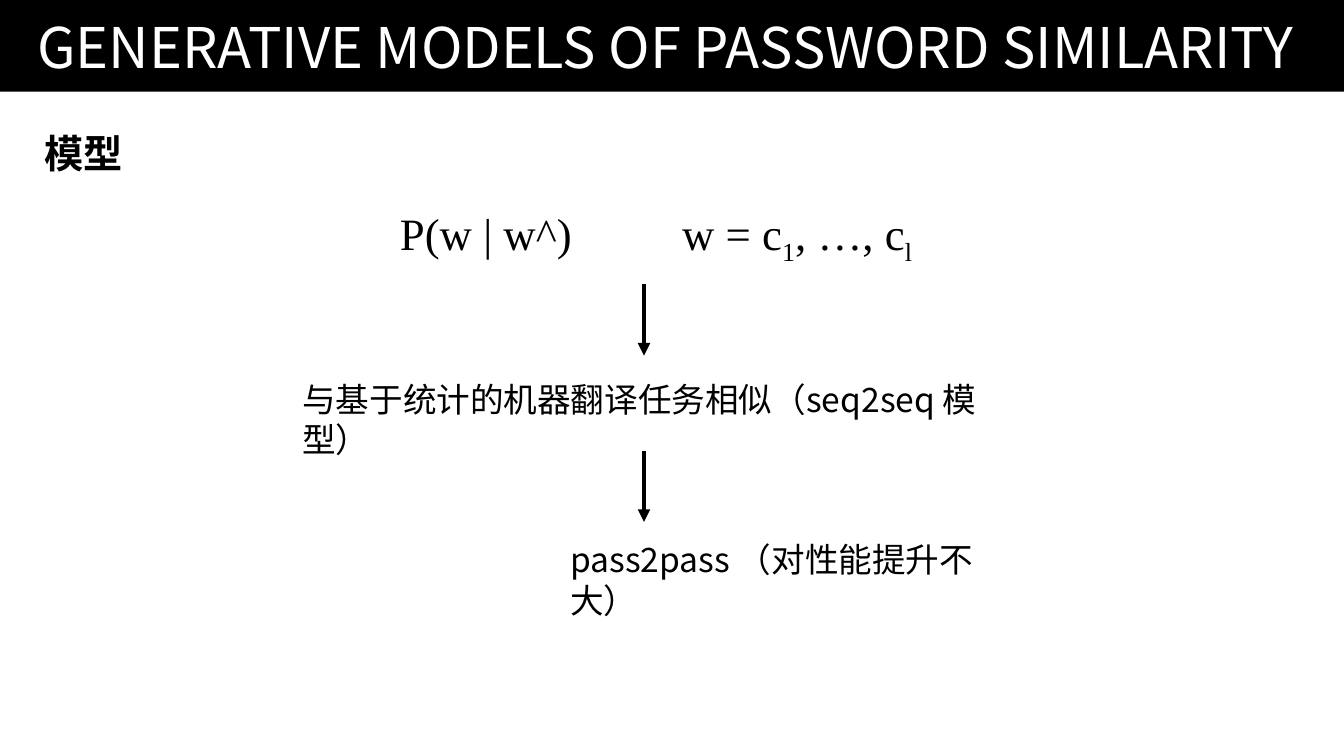
from lxml import etree
from pptx import Presentation
from pptx.dml.color import RGBColor
from pptx.enum import shapes, text
from pptx.oxml.ns import qn
from pptx.util import Pt

BLACK = RGBColor(0x00, 0x00, 0x00)
WHITE = RGBColor(0xFF, 0xFF, 0xFF)
SANS = "Noto Sans CJK SC"
SERIF = "Times New Roman"

HEADING = {"name": SANS, "size": Pt(28), "bold": True}
FORMULA = {"name": SERIF, "size": Pt(32)}
BODY = {"name": SANS, "size": Pt(24)}
BANNER = {"name": SANS, "size": Pt(40)}


def add_run(p, content, fmt, color=BLACK, subscript=False):
    r = p.add_run()
    r.text = content
    for key, value in fmt.items():
        setattr(r.font, key, value)
    r.font.color.rgb = color
    rPr = r.font._element
    etree.SubElement(rPr, qn("a:ea"), typeface=fmt["name"])
    if subscript:
        rPr.set("baseline", "-25000")


def add_banner(s, width, title):
    sp = s.shapes.add_shape(shapes.MSO_SHAPE.RECTANGLE, 0, 0, width, Pt(65.5))
    sp.shadow.inherit = False
    sp.fill.solid()
    sp.fill.fore_color.rgb = BLACK
    sp.line.fill.background()
    tf = sp.text_frame
    tf.vertical_anchor = text.MSO_ANCHOR.MIDDLE
    tf.margin_right = Pt(16.6)
    p = tf.paragraphs[0]
    p.alignment = text.PP_ALIGN.CENTER
    add_run(p, title, BANNER, WHITE)


def add_text(s, box, parts, fmt, wrap=False):
    """Write the parts in one paragraph; every second part is a subscript."""
    tf = s.shapes.add_textbox(*map(Pt, box)).text_frame
    tf.word_wrap = wrap
    tf.auto_size = text.MSO_AUTO_SIZE.SHAPE_TO_FIT_TEXT
    for i, part in enumerate(parts):
        add_run(tf.paragraphs[0], part, fmt, subscript=i % 2 == 1)


def add_down_arrow(s, x, top, length):
    cn = s.shapes.add_connector(
        shapes.MSO_CONNECTOR.STRAIGHT, Pt(x), Pt(top), Pt(x), Pt(top + length))
    cn.line.color.rgb = BLACK
    cn.line.width = Pt(3)
    etree.SubElement(cn.line._get_or_add_ln(), qn("a:tailEnd"), type="triangle")
    etree.SubElement(cn._element.spPr, qn("a:effectLst"))


def main():
    prs = Presentation()
    prs.slide_width, prs.slide_height = Pt(960), Pt(540)
    s = prs.slides.add_slide(prs.slide_layouts[6])

    add_banner(s, prs.slide_width, "GENERATIVE MODELS OF PASSWORD SIMILARITY")
    add_text(s, (24.5, 88.6, 71.3, 41), ["模型"], HEADING)
    add_text(s, (278.6, 143.3, 139, 46), ["P(w | w^)"], FORMULA)
    add_text(s, (480.2, 143.3, 188.6, 46), ["w = c", "1", ", …, c", "l"], FORMULA)
    add_text(s, (208.8, 267.1, 542.9, 36),
             ["与基于统计的机器翻译任务相似（seq2seq 模型）"], BODY, wrap=True)
    add_text(s, (400.3, 381.6, 343.4, 36),
             ["pass2pass （对性能提升不大）"], BODY, wrap=True)
    for top in (203, 321.8):
        add_down_arrow(s, 460, top, 51)

    prs.save("out.pptx")


if __name__ == "__main__":
    main()
